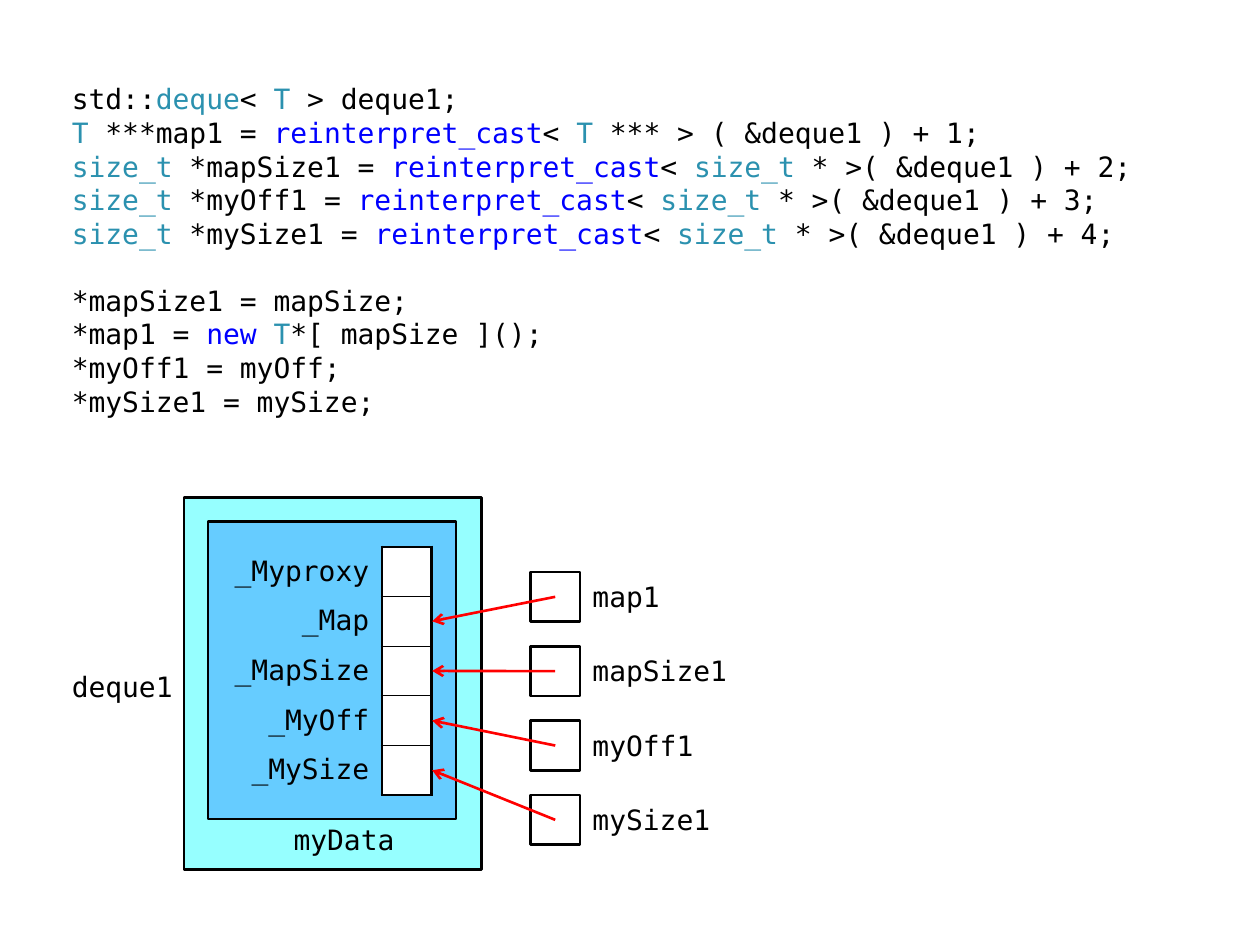
from typing import NamedTuple

from lxml.etree import SubElement
from pptx import Presentation
from pptx.dml.color import RGBColor
from pptx.enum.shapes import MSO_CONNECTOR, MSO_SHAPE
from pptx.enum.text import MSO_ANCHOR as Anchor, MSO_AUTO_SIZE, PP_ALIGN as Align
from pptx.oxml import parse_xml
from pptx.oxml.ns import nsdecls, qn
from pptx.util import Inches, Pt

BLACK = RGBColor(0x00, 0x00, 0x00)
WHITE = RGBColor(0xFF, 0xFF, 0xFF)
RED = RGBColor(0xFF, 0x00, 0x00)
TYPE_TEAL = RGBColor(0x2B, 0x91, 0xAF)
KEYWORD_BLUE = RGBColor(0x00, 0x00, 0xFF)
DEQUE_CYAN = RGBColor(0x96, 0xFF, 0xFF)
DATA_BLUE = RGBColor(0x66, 0xCC, 0xFF)
FONT = "DejaVu Sans Mono"
SIZE = Pt(16)
LINE_PITCH = Pt(19.2)
NO_STYLE = "{2D5ABB26-0587-4C30-8999-92F81FD0307C}"

CELL = 1.97 / 5
TABLE_LEFT, TABLE_TOP, LABEL_WIDTH = 1.65, 4.34, 1.38
POINTER_LEFT, POINTER_TOP, POINTER_PITCH = 4.21, 4.54, 0.59
ARROW_END = 3.43
MEMBERS = ["_Myproxy", "_Map", "_MapSize", "_MyOff", "_MySize"]
POINTERS = ["map1", "mapSize1", "myOff1", "mySize1"]


class Token(NamedTuple):
    text: str
    color: RGBColor = BLACK


class Box(NamedTuple):
    left: float
    top: float
    width: float
    height: float

    def lengths(self) -> list:
        return [Inches(value) for value in self]


class Label(NamedTuple):
    text: str
    box: Box
    align: Align
    anchor: Anchor
    insets: tuple


def cast_line(kind: str, name: str, target: str, offset: int) -> list:
    return [Token(kind, TYPE_TEAL), Token(f" {name} = "),
            Token("reinterpret_cast", KEYWORD_BLUE), Token("< "),
            Token(kind, TYPE_TEAL), Token(f" {target}( &deque1 ) + {offset};")]


DECLARATIONS = [
    [Token("std::"), Token("deque", TYPE_TEAL), Token("< "),
     Token("T", TYPE_TEAL), Token(" > deque1;")],
    cast_line("T", "***map1", "*** > ", 1),
    cast_line("size_t", "*mapSize1", "* >", 2),
    cast_line("size_t", "*myOff1", "* >", 3),
    cast_line("size_t", "*mySize1", "* >", 4),
]
ASSIGNMENTS = [
    [Token("*mapSize1 = mapSize;")],
    [Token("*map1 = "), Token("new ", KEYWORD_BLUE), Token("T", TYPE_TEAL),
     Token("*[ mapSize ]();")],
    [Token("*myOff1 = myOff;")],
    [Token("*mySize1 = mySize;")],
]


def add_token(paragraph, token: Token) -> None:
    run = paragraph.add_run()
    run.text = token.text
    run.font.name = FONT
    run.font.size = SIZE
    run.font.color.rgb = token.color


def write_code(body) -> None:
    body.left, body.top, body.width, body.height = Box(0.47, 0.6, 9.06, 2.76).lengths()
    frame = body.text_frame
    frame.auto_size = MSO_AUTO_SIZE.NONE
    frame.vertical_anchor = Anchor.TOP
    for index, line in enumerate(DECLARATIONS + ASSIGNMENTS):
        paragraph = frame.paragraphs[0] if index == 0 else frame.add_paragraph()
        properties = paragraph._p.get_or_add_pPr()
        properties.set("marL", "0")
        properties.set("indent", "0")
        SubElement(properties, qn("a:buNone"))
        paragraph.line_spacing = LINE_PITCH
        paragraph.space_before = LINE_PITCH if line is ASSIGNMENTS[0] else Pt(0)
        paragraph.space_after = Pt(0)
        for token in line:
            add_token(paragraph, token)


def add_block(slide, box: Box, fill: RGBColor, kind=MSO_SHAPE.RECTANGLE) -> None:
    block = slide.shapes.add_shape(kind, *box.lengths())
    block.shadow.inherit = False
    block.fill.solid()
    block.fill.fore_color.rgb = fill
    block.line.color.rgb = BLACK
    block.line.width = Pt(1.5)


def add_label(slide, label: Label) -> None:
    frame = slide.shapes.add_textbox(*label.box.lengths()).text_frame
    frame.word_wrap = True
    frame.vertical_anchor = label.anchor
    (frame.margin_left, frame.margin_top,
     frame.margin_right, frame.margin_bottom) = [Inches(value) for value in label.insets]
    paragraph = frame.paragraphs[0]
    paragraph.alignment = label.align
    add_token(paragraph, Token(label.text))


def add_borders(cell, **widths: float) -> None:
    properties = cell._tc.get_or_add_tcPr()
    for index, (side, width) in enumerate(widths.items()):
        properties.insert(index, parse_xml(
            f'<a:ln{side} {nsdecls("a")} w="{Pt(width)}"><a:solidFill>'
            f'<a:srgbClr val="{BLACK}"/></a:solidFill></a:ln{side}>'))


def add_members(slide) -> None:
    box = Box(TABLE_LEFT, TABLE_TOP, LABEL_WIDTH + CELL, CELL * len(MEMBERS))
    table = slide.shapes.add_table(len(MEMBERS), 2, *box.lengths()).table
    table.first_row = table.horz_banding = False
    table._tbl.tblPr.find(qn("a:tableStyleId")).text = NO_STYLE
    table.columns[0].width = Inches(LABEL_WIDTH)
    table.columns[1].width = Inches(CELL)
    for index, member in enumerate(MEMBERS):
        table.rows[index].height = Inches(CELL)
        name, value = table.cell(index, 0), table.cell(index, 1)
        for cell in (name, value):
            cell.vertical_anchor = Anchor.MIDDLE
            cell.margin_left = cell.margin_right = Inches(0.1)
            cell.margin_top = cell.margin_bottom = Inches(0.04)
        name.fill.background()
        name.text_frame.paragraphs[0].alignment = Align.RIGHT
        add_token(name.text_frame.paragraphs[0], Token(member))
        value.text_frame.paragraphs[0].font.size = SIZE
        value.fill.solid()
        value.fill.fore_color.rgb = WHITE
        add_borders(value, L=1.5, R=1.5, T=1.5 if index == 0 else 0.75,
                    B=1.5 if index == len(MEMBERS) - 1 else 0.75)
        add_borders(name, R=1.5)


def add_arrow(slide, start: tuple, end: tuple) -> None:
    arrow = slide.shapes.add_connector(
        MSO_CONNECTOR.STRAIGHT, *[Inches(value) for value in start + end])
    arrow.line.color.rgb = RED
    arrow.line.width = Pt(1.5)
    SubElement(arrow.line._get_or_add_ln(), qn("a:tailEnd"), type="arrow")
    SubElement(arrow._element.spPr, qn("a:effectLst"))


def main() -> None:
    deck = Presentation()
    deck.slide_width, deck.slide_height = Inches(10), Inches(7.5)
    slide = deck.slides.add_slide(deck.slide_layouts[1])
    title = slide.shapes.title._element
    title.getparent().remove(title)
    write_code(slide.placeholders[1])

    for index, pointer in enumerate(POINTERS):
        top = POINTER_TOP + index * POINTER_PITCH
        add_block(slide, Box(POINTER_LEFT, top, CELL, CELL), WHITE)
        add_label(slide, Label(pointer, Box(POINTER_LEFT + CELL, top, 1.18, CELL),
                               Align.LEFT, Anchor.TOP, (0.1, 0.06, 0, 0)))

    add_block(slide, Box(1.46, 3.95, 2.36, 2.95), DEQUE_CYAN, MSO_SHAPE.FLOWCHART_PROCESS)
    add_block(slide, Box(1.65, 4.14, 1.97, 2.36), DATA_BLUE, MSO_SHAPE.FLOWCHART_PROCESS)
    add_label(slide, Label("deque1", Box(0.47, 5.13, 0.98, 0.59),
                           Align.RIGHT, Anchor.MIDDLE, (0.08, 0.04, 0.08, 0)))
    add_label(slide, Label("myData", Box(2.24, 6.51, 0.98, 0.39),
                           Align.CENTER, Anchor.TOP, (0.08, 0.02, 0.08, 0)))
    add_members(slide)

    for index in range(len(POINTERS)):
        pointer_middle = POINTER_TOP + index * POINTER_PITCH + CELL / 2
        member_middle = TABLE_TOP + (index + 1.5) * CELL
        add_arrow(slide, (POINTER_LEFT + CELL / 2, pointer_middle),
                  (ARROW_END, member_middle))
    deck.save("out.pptx")


if __name__ == "__main__":
    main()
